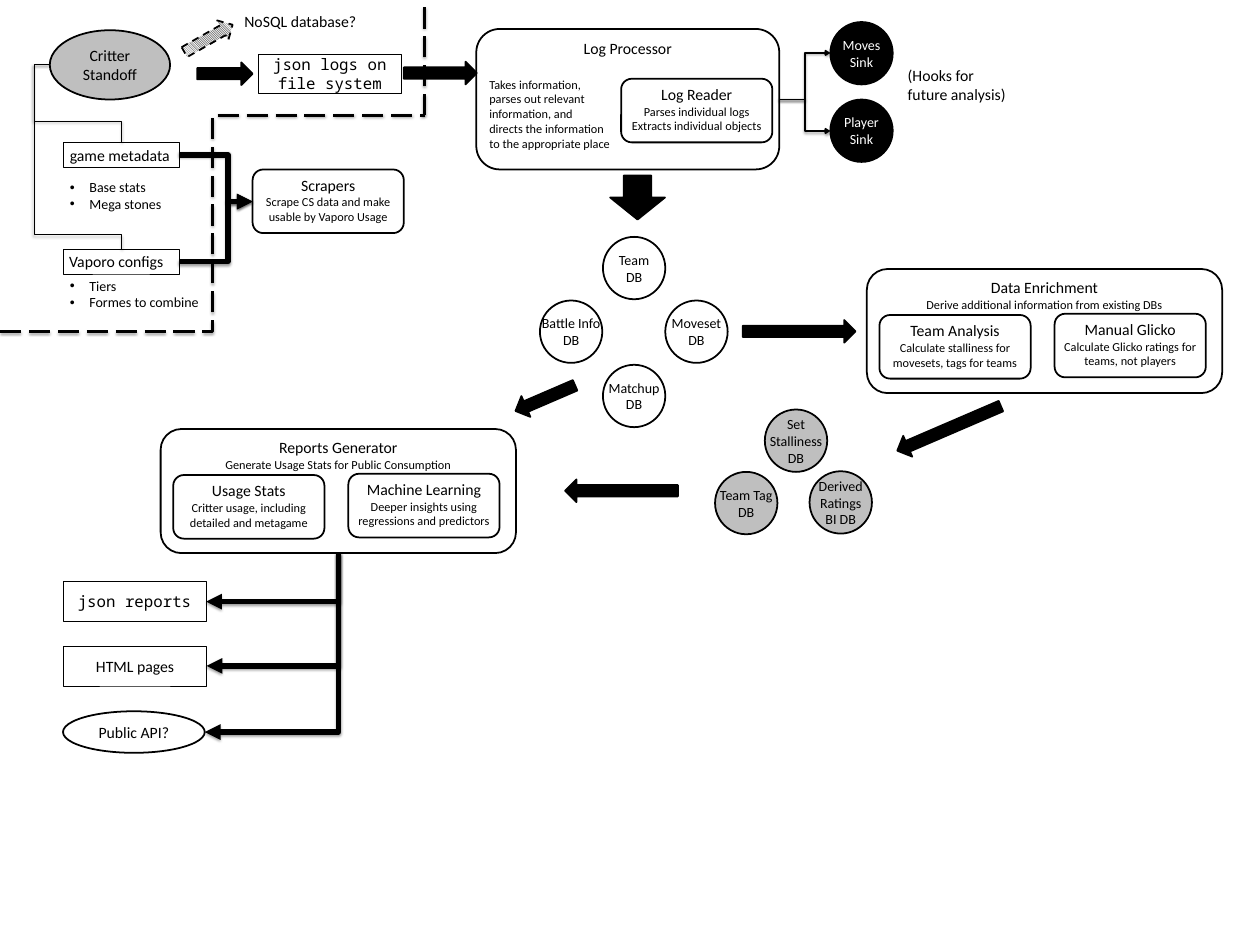
from dataclasses import dataclass
from typing import Union

from lxml import etree
from pptx import Presentation
from pptx.dml.color import RGBColor
from pptx.enum.dml import MSO_LINE, MSO_PATTERN
from pptx.enum.shapes import MSO_CONNECTOR, MSO_SHAPE
from pptx.enum.text import MSO_ANCHOR, MSO_AUTO_SIZE, PP_ALIGN
from pptx.oxml import parse_xml
from pptx.oxml.ns import nsdecls, qn
from pptx.shapes.placeholder import SlidePlaceholder
from pptx.shapes.shapetree import GroupShapes, SlideShapes
from pptx.text.text import TextFrame
from pptx.util import Inches, Pt

RECT, ROUND, OVAL, ARROW = (MSO_SHAPE.RECTANGLE, MSO_SHAPE.ROUNDED_RECTANGLE,
                            MSO_SHAPE.OVAL, MSO_SHAPE.RIGHT_ARROW)
LEFT, CENTER = PP_ALIGN.LEFT, PP_ALIGN.CENTER
TOP, MIDDLE = MSO_ANCHOR.TOP, MSO_ANCHOR.MIDDLE
DASH, LONG_DASH = MSO_LINE.DASH, MSO_LINE.LONG_DASH
HATCH = MSO_PATTERN.LIGHT_DOWNWARD_DIAGONAL
ELBOW = MSO_CONNECTOR.ELBOW
FIXED = MSO_AUTO_SIZE.NONE
BLACK, WHITE, GRAY = "000000", "FFFFFF", "BFBFBF"
SANS, MONO = "Calibri", "Noto Sans Mono"
Tree = Union[SlideShapes, GroupShapes]


@dataclass
class Node:
    kind: MSO_SHAPE
    x: float
    y: float
    w: float
    h: float
    lines: tuple[str, ...]
    fill: str = WHITE
    ink: str = BLACK
    edge: float = 2
    size: int = 18
    rest: int = 18
    font: str = SANS
    align: PP_ALIGN = CENTER
    anchor: MSO_ANCHOR = MIDDLE
    wrap: bool = True


@dataclass
class Arrow:
    x: float
    y: float
    w: float
    h: float = 0.36
    turn: float = 0
    hatch: bool = False


@dataclass
class Link:
    start: tuple[float, float]
    end: tuple[float, float]
    width: float
    kind: str = "bentConnector3"
    turn: int = 0
    bends: tuple[int, ...] = ()
    head: str = ""
    dash: bool = False


def color(code: str) -> RGBColor:
    return RGBColor.from_string(code)


def write(frame: TextFrame, lines: tuple[str, ...], size: int, rest: int,
          font: str = SANS, ink: str = BLACK, align: PP_ALIGN = LEFT) -> None:
    for row, line in enumerate(lines):
        para = frame.add_paragraph() if row else frame.paragraphs[0]
        para.text = line
        para.alignment = align
        para.space_before = Pt(0)
        for run in para.runs:
            run.font.size = Pt(rest if row else size)
            run.font.name = font
            run.font.color.rgb = color(ink)


def draw_node(tree: Tree, node: Node) -> TextFrame:
    shape = tree.add_shape(node.kind, *map(Inches, (node.x, node.y, node.w, node.h)))
    shape.shadow.inherit = False
    if node.fill:
        shape.fill.solid()
        shape.fill.fore_color.rgb = color(node.fill)
    else:
        shape.fill.background()
    shape.line.color.rgb = color(BLACK)
    shape.line.width = Pt(node.edge)
    frame = shape.text_frame
    frame.word_wrap = node.wrap
    frame.vertical_anchor = node.anchor
    write(frame, node.lines, node.size, node.rest, node.font, node.ink, node.align)
    return frame


def draw_arrow(tree: Tree, item: Arrow) -> None:
    shape = tree.add_shape(ARROW, *map(Inches, (item.x, item.y, item.w, item.h)))
    shape.shadow.inherit = False
    shape.rotation = item.turn
    shape.line.color.rgb = color(BLACK)
    shape.line.width = Pt(2)
    if item.hatch:
        shape.fill.patterned()
        shape.fill.pattern = HATCH
        shape.fill.back_color.rgb = color(WHITE)
        shape.line.dash_style = DASH
    else:
        shape.fill.solid()
    shape.fill.fore_color.rgb = color(BLACK)


def draw_link(tree: Tree, link: Link) -> None:
    (ax, ay), (bx, by) = link.start, link.end
    w, h = abs(bx - ax), abs(by - ay)
    if link.turn:
        w, h = h, w
    x, y = (ax + bx - w) / 2, (ay + by - h) / 2
    rise = link.turn == 270 or (not link.turn and by < ay)
    top, low = (y + h, y) if rise else (y, y + h)
    wire = tree.add_connector(ELBOW, *map(Inches, (x, top, x + w, low)))
    wire.line.color.rgb = color(BLACK)
    wire.line.width = Pt(link.width)
    if link.dash:
        wire.line.dash_style = LONG_DASH
    props = wire._element.spPr
    props.find(qn("a:xfrm")).set("rot", str(link.turn * 60000))
    form = props.find(qn("a:prstGeom"))
    form.set("prst", link.kind)
    for rank, bend in enumerate(link.bends, 1):
        etree.SubElement(form.find(qn("a:avLst")), qn("a:gd"),
                         name=f"adj{rank}", fmla=f"val {bend}")
    if link.head:
        etree.SubElement(props.find(qn("a:ln")), qn("a:tailEnd"), type=link.head)
    props.append(parse_xml(
        f'<a:effectLst {nsdecls("a")}><a:outerShdw blurRad="39370" dist="20320" '
        'dir="5400000" rotWithShape="0"><a:srgbClr val="000000">'
        '<a:alpha val="38000"/></a:srgbClr></a:outerShdw></a:effectLst>'))


def draw_note(tree: Tree, x: float, y: float, w: float, h: float, text: str) -> None:
    box = tree.add_textbox(*map(Inches, (x, y, w, h)))
    box.text_frame.word_wrap = True
    write(box.text_frame, (text,), 18, 18)


def fill_list(box: SlidePlaceholder, y: float, w: float, lines: tuple[str, ...]) -> None:
    box.left, box.top, box.width, box.height = map(Inches, (1.01, y, w, 0.91))
    frame = box.text_frame
    frame.auto_size = FIXED
    frame.vertical_anchor = TOP
    write(frame, lines, 16, 16)
    for para in frame.paragraphs:
        props = para._p.get_or_add_pPr()
        props.set("marL", str(Inches(0.31)))
        props.set("indent", str(-Inches(0.31)))
        etree.SubElement(props, qn("a:buChar"), char="•")


def card(x: float, y: float, *lines: str, w: float = 2.4, h: float = 1.01) -> Node:
    return Node(ROUND, x, y, w, h, lines, rest=14, anchor=TOP)


def disk(x: float, y: float, *lines: str, fill: str = WHITE, ink: str = BLACK) -> Node:
    return Node(OVAL, x, y, 0.99, 0.99, lines, fill, ink, size=16, rest=16, wrap=False)


def panel(x: float, y: float, head: tuple[str, str], left: tuple[str, str],
          right: tuple[str, str]) -> list[Node]:
    return [card(x, y, *head, w=5.64, h=1.97), card(x + 0.2, y + 0.73, *left),
            card(x + 2.98, y + 0.71, *right)]


NODES = [
    Node(OVAL, 0.79, 0.48, 1.91, 1.1, ("Critter Standoff",), GRAY),
    Node(RECT, 4.1, 0.86, 2.27, 0.63, ("json logs on\nfile system",), edge=1, font=MONO),
    Node(RECT, 1.01, 2.26, 1.84, 0.4, ("game metadata",), "", edge=0.75, align=LEFT, anchor=TOP),
    Node(RECT, 1, 3.95, 1.84, 0.4, ("Vaporo configs",), "", edge=0.75, align=LEFT, anchor=TOP),
    card(4.01, 2.69, "Scrapers", "Scrape CS data and make usable by Vaporo Usage"),
    disk(10.56, 4.77, "Moveset", "DB"), disk(9.57, 3.76, "Team", "DB"),
    disk(8.57, 4.77, "Battle Info", "DB"), disk(9.57, 5.79, "Matchup", "DB"),
    disk(13.18, 0.35, "Moves", "Sink", fill=BLACK, ink=WHITE),
    disk(13.18, 1.58, "Player", "Sink", fill=BLACK, ink=WHITE),
    disk(11.35, 7.49, "Team Tag", "DB", fill=GRAY),
    disk(12.85, 7.48, "Derived", "Ratings", "BI DB", fill=GRAY),
    disk(12.14, 6.5, "Set\nStalliness", "DB", fill=GRAY),
    Node(RECT, 1, 9.23, 2.27, 0.63, ("json reports",), edge=1, font=MONO),
    Node(RECT, 1.01, 10.26, 2.27, 0.63, ("HTML pages",), edge=1),
    Node(OVAL, 1, 11.29, 2.25, 0.66, ("Public API?",), wrap=False)]
READER = [
    card(7.56, 0.46, "Log Processor", "Takes information,\nparses out relevant\ninformation, and\n"
         "directs the information\nto the appropriate place", w=4.81, h=2.23),
    card(9.86, 1.25, "Log Reader", "Parses individual logs", "Extracts individual objects")]
PANELS = [
    panel(13.76, 4.27, ("Data Enrichment", "Derive additional information from existing DBs"),
          ("Team Analysis", "Calculate stalliness for movesets, tags for teams"),
          ("Manual Glicko", "Calculate Glicko ratings for teams, not players")),
    panel(2.55, 6.81, ("Reports Generator", "Generate Usage Stats for Public Consumption"),
          ("Usage Stats", "Critter usage, including detailed and metagame"),
          ("Machine Learning", "Deeper insights using regressions and predictors"))]
LINKS = [
    Link((1.92, 3.95), (0.79, 1.03), 1, "bentConnector4", 270, (7700, 122200)),
    Link((1.92, 2.26), (0.79, 1.03), 1, "bentConnector4", 270, (27400, 122100)),
    Link((0, 5.26), (6.74, 1.83), 3, dash=True),
    Link((6.74, 1.83), (6.74, 0), 3, "line", dash=True),
    *(Link((2.84, y), (4.01, 3.2), 6, bends=(66700,), head="triangle") for y in (2.46, 4.15)),
    *(Link((5.37, 8.78), end, 6, "bentConnector2", 90, head="triangle")
      for end in ((3.27, 9.55), (3.28, 10.57), (3.25, 11.62))),
    *(Link((12.37, 1.58), (13.18, y), 2, head="arrow") for y in (0.84, 2.08))]
ARROWS = [
    Arrow(3.13, 0.99, 0.88), Arrow(2.87, 0.43, 0.88, turn=330.4, hatch=True),
    Arrow(6.41, 0.98, 1.16), Arrow(9.77, 2.7, 0.7, 0.87, 90), Arrow(11.79, 5.08, 1.79),
    Arrow(14.17, 6.62, 1.79, turn=156.7), Arrow(8.14, 6.14, 1.03, turn=156.7),
    Arrow(8.97, 7.61, 1.79, turn=180)]


def main() -> None:
    deck = Presentation()
    deck.slide_width, deck.slide_height = Inches(20), Inches(15)
    slide = deck.slides.add_slide(deck.slide_layouts[3])
    tree = slide.shapes
    title = tree.title._element
    title.getparent().remove(title)
    fill_list(slide.placeholders[1], 2.79, 1.82, ("Base stats", "Mega stones"))
    fill_list(slide.placeholders[2], 4.35, 2.37, ("Tiers", "Formes to combine"))
    for node in NODES:
        draw_node(tree, node)
    group = tree.add_group_shape().shapes
    body = [draw_node(group, node) for node in READER][0].paragraphs[1]
    body.alignment = LEFT
    body.space_before = Pt(22)
    for nodes in PANELS:
        group = tree.add_group_shape().shapes
        for node in nodes:
            draw_node(group, node)
    for link in LINKS:
        draw_link(tree, link)
    for item in ARROWS:
        draw_arrow(tree, item)
    draw_note(tree, 3.78, 0.14, 2.15, 0.4, "NoSQL database?")
    draw_note(tree, 14.31, 1, 2.54, 0.71, "(Hooks for\nfuture analysis)")
    deck.save("out.pptx")


if __name__ == "__main__":
    main()
